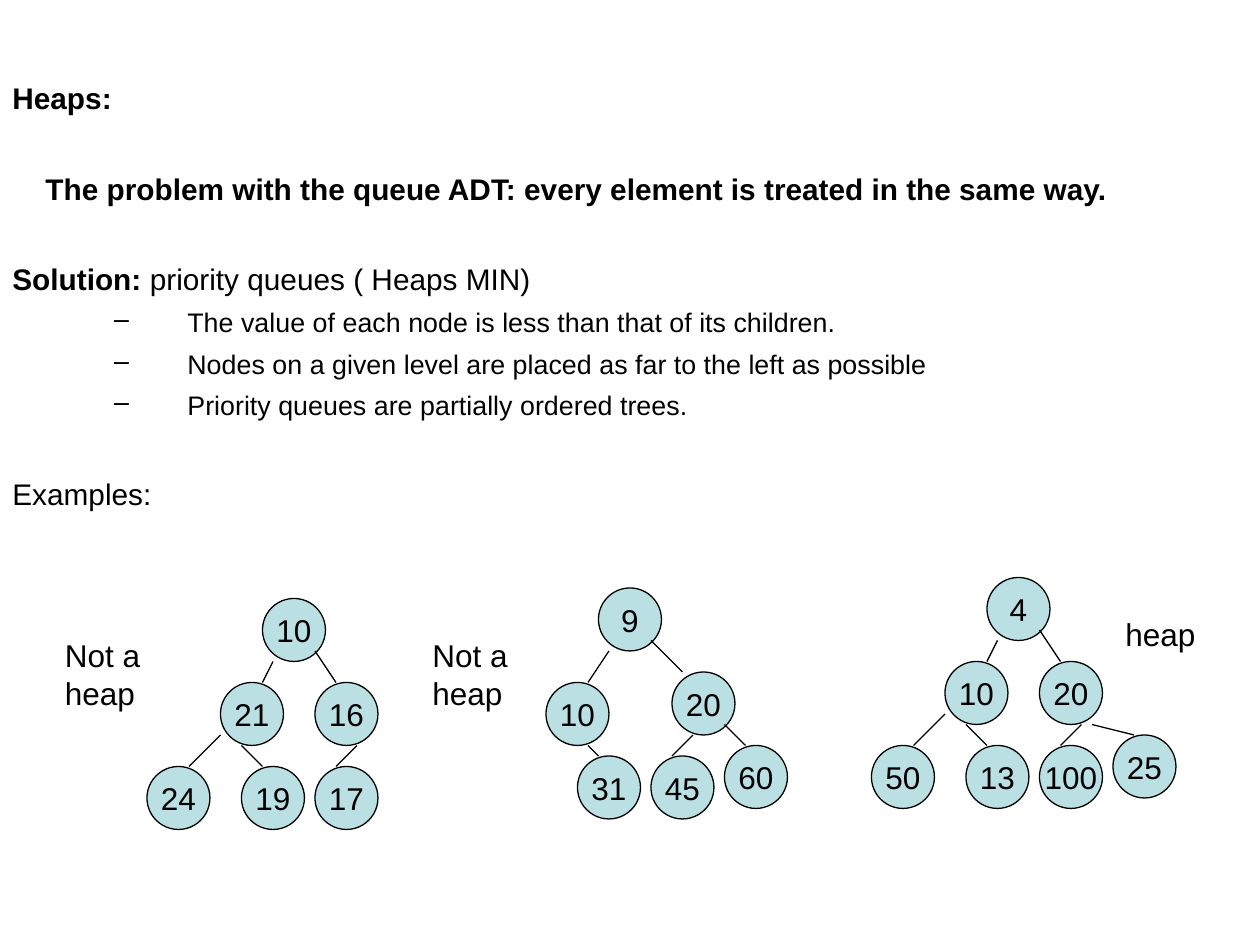
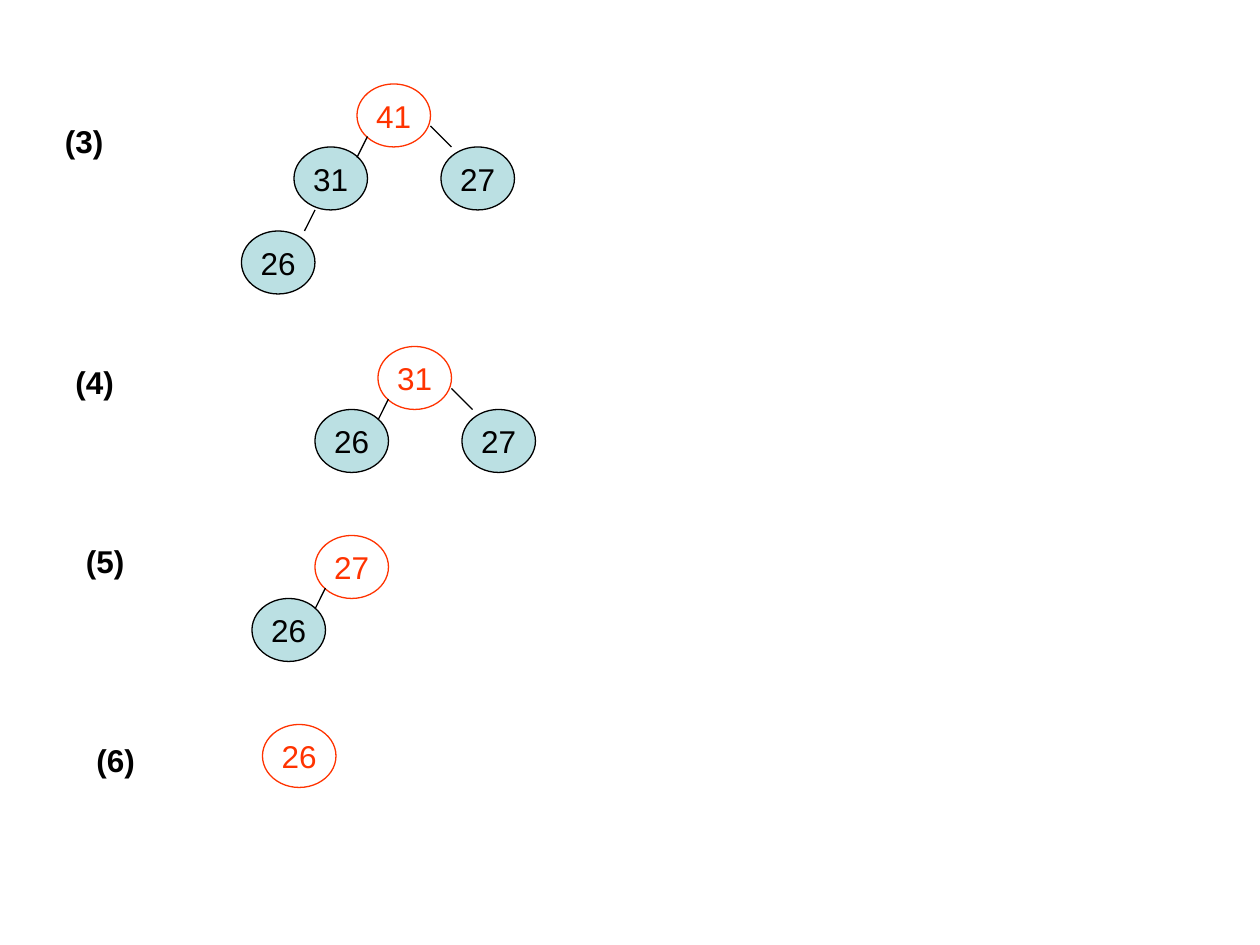
"""Build two slides of heap trees, laid out on a six-point grid."""
import pptx
import pptx.util
import pptx.dml.color
import pptx.enum.shapes
import pptx.enum.text
import pptx.oxml
import pptx.oxml.ns

Pt = pptx.util.Pt
UNIT = 6

SPREAD = [
    ((0, 0), None),
    ((5, 8), (5, 5, 7, 8)),
    ((-4, 8), (1, 6, 0, 8)),
    ((-11, 16), (-4, 13, -7, 16)),
    ((-2, 16), (-2, 14, 0, 16)),
    ((5, 16), (9, 14, 7, 16)),
    ((12, 15), (10, 14, 14, 15)),
]
SKEWED = [
    ((0, 0), None),
    ((7, 8), (5, 5, 8, 8)),
    ((-5, 9), (1, 6, -1, 9)),
    ((-2, 16), (-1, 15, 0, 16)),
    ((12, 15), (12, 13, 14, 15)),
    ((5, 16), (9, 14, 7, 16)),
]
COMPACT = [
    ((0, 0), None),
    ((-6, 6), (1, 5, 0, 7)),
    ((8, 6), (7, 4, 9, 6)),
    ((-11, 14), (-4, 12, -5, 14)),
]


def paint(code):
    return pptx.dml.color.RGBColor.from_string(code)


def grid(*steps):
    return [Pt(step * UNIT) for step in steps]


def write(para, text, size=18, bold=False, color="000000", center=False,
          before=0, left=0, hang=0, bullet=None):
    run = para.add_run()
    run.text = text
    run.font.name = "Arial"
    run.font.size = Pt(size)
    run.font.bold = bold
    run.font.color.rgb = paint(color)
    align = pptx.enum.text.PP_ALIGN
    para.alignment = align.CENTER if center else align.LEFT
    para.space_before = Pt(before)
    props = para._p.get_or_add_pPr()
    props.set("marL", str(Pt(left)))
    props.set("indent", str(Pt(-hang)))
    if bullet:
        mark = pptx.oxml.parse_xml(
            f'<a:buChar {pptx.oxml.ns.nsdecls("a")} char="{bullet}"/>')
        props.append(mark)


class Deck:
    def __init__(self):
        self.show = pptx.Presentation()
        self.show.slide_width, self.show.slide_height = Pt(720), Pt(540)
        self.fill, self.ink, self.hot = "BBE0E3", "000000", "FF3300"

    def page(self):
        self.slide = self.show.slides.add_slide(self.show.slide_layouts[6])

    def box(self, left, top, width, height):
        frame = self.slide.shapes.add_textbox(
            *grid(left, top, width, height)).text_frame
        frame.word_wrap = True
        return frame

    def label(self, text, left, top, width, height=4.8, bold=False):
        frame = self.box(left, top, width, height)
        write(frame.paragraphs[0], text, bold=bold)

    def body(self, lines):
        frame = self.box(0, 7, 114, 44)
        para = frame.paragraphs[0]
        for index, (runs, style) in enumerate(lines):
            if index:
                para = frame.add_paragraph()
            for text, bold in runs:
                write(para, text, bold=bold, **style)

    def node(self, text, left, top, width, hollow):
        oval = self.slide.shapes.add_shape(
            pptx.enum.shapes.MSO_SHAPE.OVAL, *grid(left, top, width, 6))
        oval.shadow.inherit = False
        color = self.hot if hollow else self.ink
        if hollow:
            oval.fill.background()
        else:
            oval.fill.solid()
            oval.fill.fore_color.rgb = paint(self.fill)
        oval.line.color.rgb = paint(color)
        oval.line.width = Pt(0.75)
        frame = oval.text_frame
        frame.word_wrap = False
        frame.vertical_anchor = pptx.enum.text.MSO_ANCHOR.MIDDLE
        write(frame.paragraphs[0], text, color=color, center=True)

    def link(self, *ends):
        line = self.slide.shapes.add_connector(
            pptx.enum.shapes.MSO_CONNECTOR.STRAIGHT, *grid(*ends))
        line.line.color.rgb = paint(self.ink)
        line.line.width = Pt(0.75)
        line._element.spPr.append(pptx.oxml.parse_xml(
            f'<a:effectLst {pptx.oxml.ns.nsdecls("a")}/>'))

    def tree(self, keys, left, top, plan, width=6, marked=False):
        for index, (key, (spot, edge)) in enumerate(zip(keys.split(), plan)):
            self.node(key, left + spot[0], top + spot[1], width,
                      marked and index == 0)
            if edge:
                x1, y1, x2, y2 = edge
                self.link(left + x1, top + y1, left + x2, top + y2)


def main():
    deck = Deck()
    deck.page()
    head = {"size": 17, "before": 31.4}
    item = {"size": 15.3, "before": 5.3, "left": 100, "hang": 41.8,
            "bullet": "–"}
    deck.body([
        ([("Heaps:", True)], {"size": 17}),
        ([("The problem with the queue ADT: every element is treated "
           "in the same way.", True)], {**head, "left": 18.9}),
        ([("Solution: ", True), ("priority queues ( Heaps MIN)", False)],
         head),
        ([("The value of each node is less than that of its children.",
           False)], item),
        ([("Nodes on a given level are placed as far to the left as "
           "possible", False)], item),
        ([("Priority queues are partially ordered trees.", False)], item),
        ([("Examples:", False)], head),
    ])
    deck.tree("10 16 21 24 19 17", 25, 57, SPREAD)
    deck.tree("9 20 10 31 60 45", 57, 56, SKEWED)
    deck.tree("4 20 10 50 13 100 25", 94, 55, SPREAD)
    for left in (5, 40):
        deck.label("Not a heap", left, 60, 11, 8.4)
    deck.label("heap", 106, 58, 11)

    deck.page()
    steps = [
        ("41 31 27 26", 34, 8, 11),
        ("31 26 27", 36, 33, 34),
        ("27 26", 30, 51, 51),
        ("26", 25, 69, 70),
    ]
    for index, (keys, left, top, level) in enumerate(steps):
        deck.label(f"({index + 3})", 5 + index, level, 9, bold=True)
        deck.tree(keys, left, top, COMPACT, width=7, marked=True)
    deck.show.save("out.pptx")


if __name__ == "__main__":
    main()
